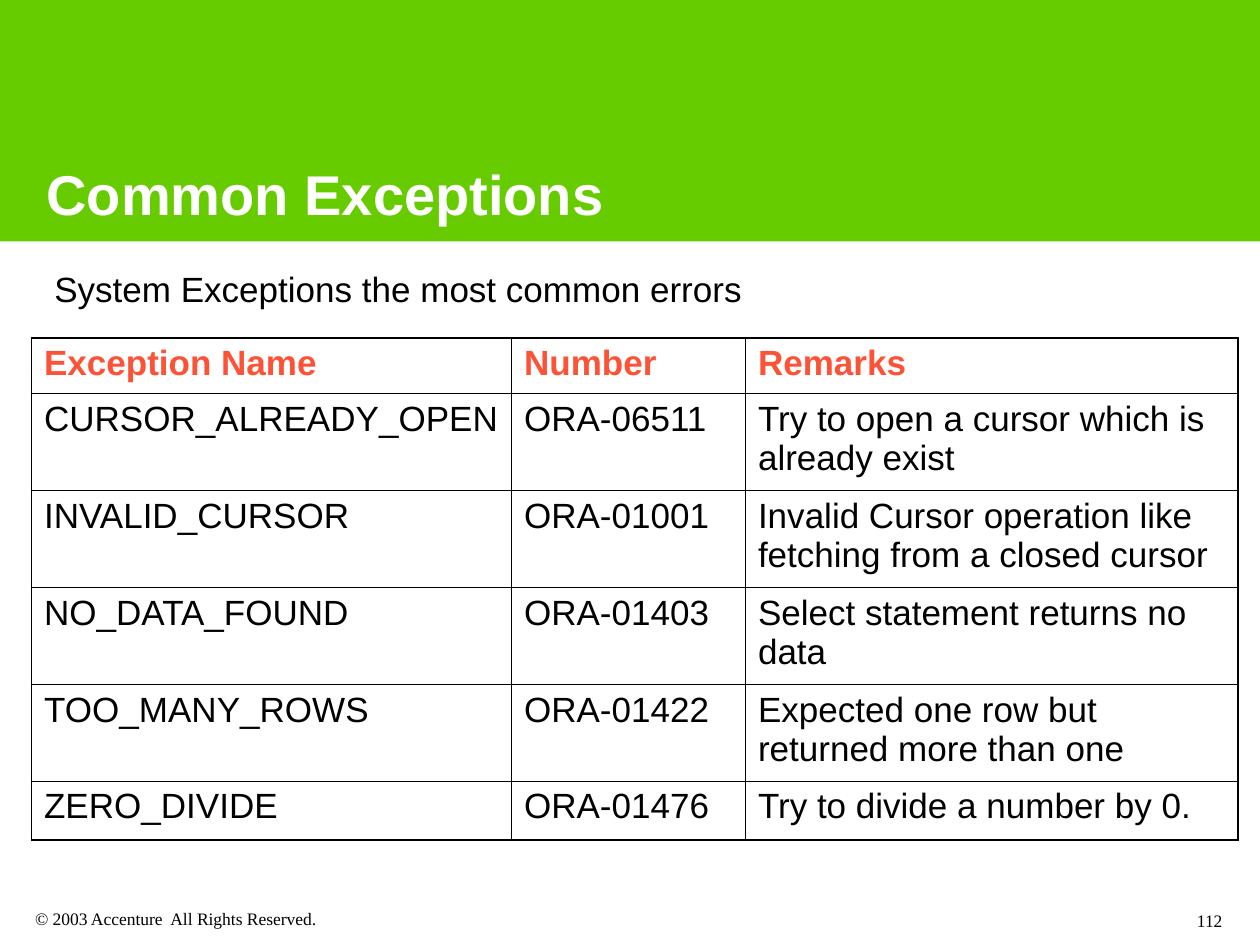
from lxml import etree
from pptx import Presentation
from pptx.dml.color import RGBColor
from pptx.enum import shapes, text
from pptx.oxml.ns import qn
from pptx.util import Pt

# Content
TITLE = "Common Exceptions"
INTRO = "System Exceptions the most common errors"
ROWS = [
    ("Exception Name", "Number", "Remarks"),
    ("CURSOR_ALREADY_OPEN", "ORA-06511", "Try to open a cursor which is already exist"),
    ("INVALID_CURSOR", "ORA-01001",
     "Invalid Cursor operation like fetching from a closed cursor"),
    ("NO_DATA_FOUND", "ORA-01403", "Select statement returns no data"),
    ("TOO_MANY_ROWS", "ORA-01422", "Expected one row but returned more than one"),
    ("ZERO_DIVIDE", "ORA-01476", "Try to divide a number by 0."),
]
COPYRIGHT = "© 2003 Accenture  All Rights Reserved."
PAGE_NUMBER = "112"

# Layout, in points
COLUMN_WIDTHS = [274.3, 133.7, 281.4]
ROW_HEIGHTS = [31.7] + [55.4] * 4 + [33.7]
TABLE_LEFT, TABLE_TOP = 18, 193


class Theme:
    band, white, black, heading = "66CC00", "FFFFFF", "000000", "FC5236"
    sans, serif = "Arial", "Times New Roman"
    title_size, body_size, footer_size = 32, 20, 10
    outer_line, inner_line = 1.08, 0.45


def style(para, size, face=Theme.sans, color=Theme.black, bold=False):
    font = para.font
    font.name, font.size, font.bold = face, Pt(size), bold
    font.color.rgb = RGBColor.from_string(color)


def place(shape, left, top, width, height):
    shape.left, shape.top = Pt(left), Pt(top)
    shape.width, shape.height = Pt(width), Pt(height)


def border(cell, widths):
    """Put left, right, top and bottom lines ahead of the cell's fill."""
    properties = cell._tc.get_or_add_tcPr()
    for index, (side, width) in enumerate(zip("LRTB", widths)):
        line = etree.Element(qn(f"a:ln{side}"), w=str(int(Pt(width))))
        fill = etree.SubElement(line, qn("a:solidFill"))
        etree.SubElement(fill, qn("a:srgbClr"), val=Theme.black)
        properties.insert(index, line)


def add_footer(page, words, left, top, width, height, align, spacing=1.0):
    box = page.shapes.add_textbox(Pt(left), Pt(top), Pt(width), Pt(height))
    frame = box.text_frame
    frame.word_wrap = True
    frame.vertical_anchor = text.MSO_ANCHOR.BOTTOM
    para = frame.paragraphs[0]
    para.text, para.alignment, para.line_spacing = words, align, spacing
    style(para, Theme.footer_size, Theme.serif)


deck = Presentation()
deck.slide_width, deck.slide_height = Pt(720), Pt(540)
page = deck.slides.add_slide(deck.slide_layouts[1])

# Green band, sent behind the title
band = page.shapes.add_shape(shapes.MSO_SHAPE.RECTANGLE, 0, 0, deck.slide_width, Pt(138))
band.shadow.inherit = False
band.fill.solid()
band.fill.fore_color.rgb = RGBColor.from_string(Theme.band)
band.line.fill.background()
page.shapes._spTree.insert(2, band._element)

# Title
title = page.shapes.title
place(title, 19.4, 90, 496, 43.2)
title.text_frame.text = TITLE
title.text_frame.auto_size = text.MSO_AUTO_SIZE.NONE
title.text_frame.vertical_anchor = text.MSO_ANCHOR.BOTTOM
para = title.text_frame.paragraphs[0]
para.alignment = text.PP_ALIGN.LEFT
style(para, Theme.title_size, color=Theme.white, bold=True)

# Introductory line, without a bullet
body = page.placeholders[1]
place(body, 23.8, 149, 624, 49)
body.text_frame.text = INTRO
body.text_frame.auto_size = text.MSO_AUTO_SIZE.NONE
para = body.text_frame.paragraphs[0]
properties = para._p.get_or_add_pPr()
properties.set("marL", str(int(Pt(27))))
properties.set("indent", str(int(Pt(-27))))
etree.SubElement(properties, qn("a:buNone"))
para.space_before = Pt(0)
style(para, Theme.body_size)

# Exceptions table
table = page.shapes.add_table(
    len(ROWS), len(COLUMN_WIDTHS), Pt(TABLE_LEFT), Pt(TABLE_TOP),
    Pt(sum(COLUMN_WIDTHS)), Pt(sum(ROW_HEIGHTS))).table
table.first_row = table.horz_banding = False
for column, width in zip(table.columns, COLUMN_WIDTHS):
    column.width = Pt(width)
last_row, last_column = len(ROWS) - 1, len(COLUMN_WIDTHS) - 1
for r, (row, height) in enumerate(zip(ROWS, ROW_HEIGHTS)):
    table.rows[r].height = Pt(height)
    for c, words in enumerate(row):
        cell = table.cell(r, c)
        cell.text = words
        cell.fill.background()
        style(cell.text_frame.paragraphs[0], Theme.body_size,
              color=Theme.black if r else Theme.heading, bold=r == 0)
        on_edge = (c == 0, c == last_column, r == 0, r == last_row)
        border(cell, [Theme.outer_line if edge else Theme.inner_line for edge in on_edge])

# Footer
add_footer(page, COPYRIGHT, 13, 498.2, 558.7, 36, text.PP_ALIGN.LEFT)
add_footer(page, PAGE_NUMBER, 572.4, 514, 133.2, 21.6, text.PP_ALIGN.RIGHT, 0.8)

deck.save("out.pptx")
